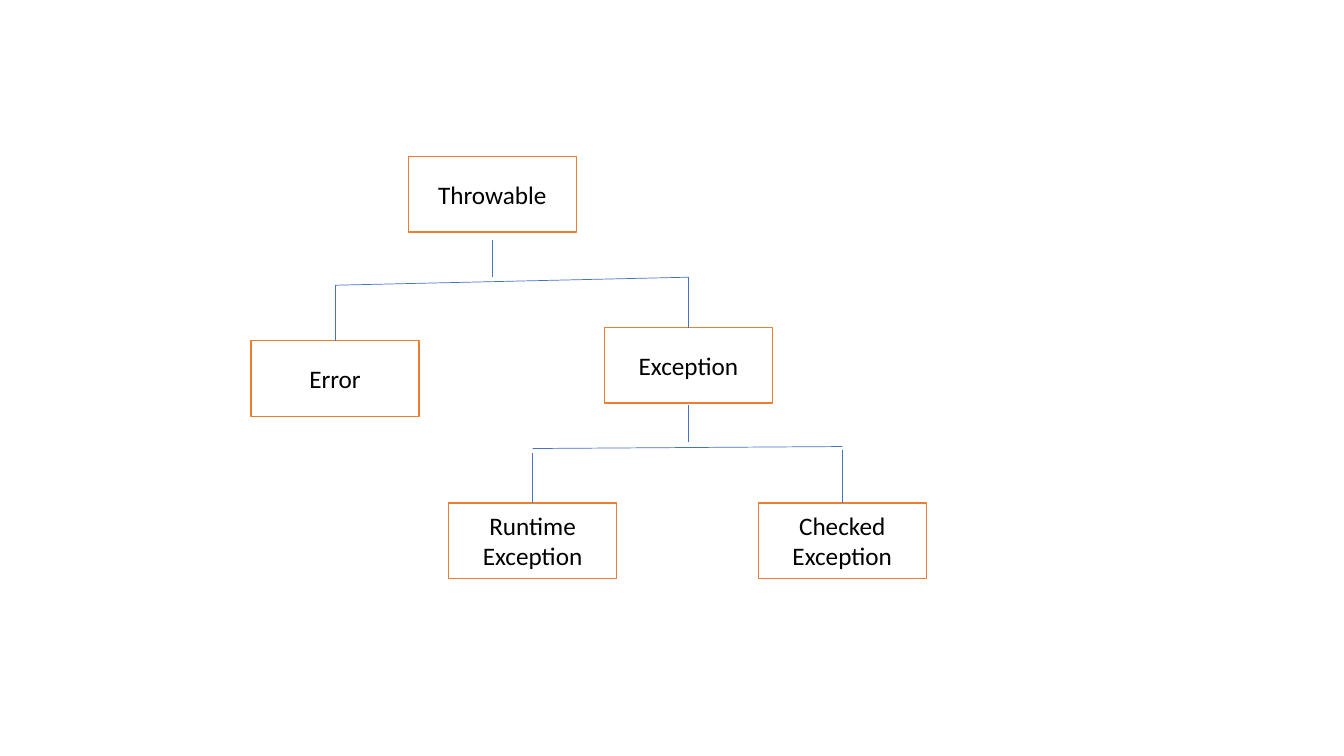
"""Draw the tree of Throwable classes."""
from lxml.etree import SubElement
from pptx import Presentation
from pptx.dml.color import RGBColor
from pptx.enum.shapes import MSO_CONNECTOR, MSO_SHAPE
from pptx.enum.text import MSO_ANCHOR, PP_ALIGN
from pptx.oxml.ns import qn
from pptx.util import Inches, Pt

# name: (centre, top) in percent of the slide
NODES = {
    "Throwable": (36.63, 20.67),
    "Error": (24.93, 45.07),
    "Exception": (51.23, 43.33),
    "Runtime Exception": (39.63, 66.53),
    "Checked Exception": (62.67, 66.53),
}
# parent, stem top, then (child, bar level, drop top) for each side
FORKS = [
    ("Throwable", 31.73, ("Error", 37.73, 37.73), ("Exception", 36.67, 36.67)),
    ("Exception", 53.6, ("Runtime Exception", 59.33, 59.87),
     ("Checked Exception", 59.07, 59.47)),
]
WIDE, HIGH, STEM = 12.5, 10, 4.93
WHITE, BLACK, ORANGE, BLUE = "FFFFFF", "000000", "ED7D31", "4472C4"

deck = Presentation()
deck.slide_width, deck.slide_height = Inches(13.33), Inches(7.5)
slide = deck.slides.add_slide(deck.slide_layouts[6])


def paint(part, tone):
    part.rgb = RGBColor.from_string(tone)


def across(share):
    return round(deck.slide_width * share / 100)


def down(share):
    return round(deck.slide_height * share / 100)


def box(name, mid, top):
    shape = slide.shapes.add_shape(MSO_SHAPE.RECTANGLE, across(mid - WIDE / 2),
                                   down(top), across(WIDE), down(HIGH))
    shape.shadow.inherit = False
    shape.fill.solid()
    paint(shape.fill.fore_color, WHITE)
    paint(shape.line.color, ORANGE)
    shape.line.width = Pt(1)
    frame = shape.text_frame
    frame.word_wrap = True
    frame.vertical_anchor = MSO_ANCHOR.MIDDLE
    para = frame.paragraphs[0]
    para.alignment = PP_ALIGN.CENTER
    run = para.add_run()
    run.text = name
    run.font.name, run.font.size = "Calibri", Pt(18)
    paint(run.font.color, BLACK)
    return shape


def link(left, top, right, base):
    line = slide.shapes.add_connector(MSO_CONNECTOR.STRAIGHT, across(left),
                                      down(top), across(right), down(base))
    paint(line.line.color, BLUE)
    line.line.width = Pt(0.5)
    SubElement(line._element.spPr, qn("a:effectLst"))
    return line


boxes = {name: box(name, *spot) for name, spot in NODES.items()}
for parent, start, *sides in FORKS:
    mid = NODES[parent][0]
    link(mid, start, mid, start + STEM)
    ends = [(NODES[child][0], level) for child, level, drop in sides]
    link(*ends[0], *ends[1])
    for child, level, drop in sides:
        mid, top = NODES[child]
        link(mid, drop, mid, top).end_connect(boxes[child], 0)

deck.save("out.pptx")
